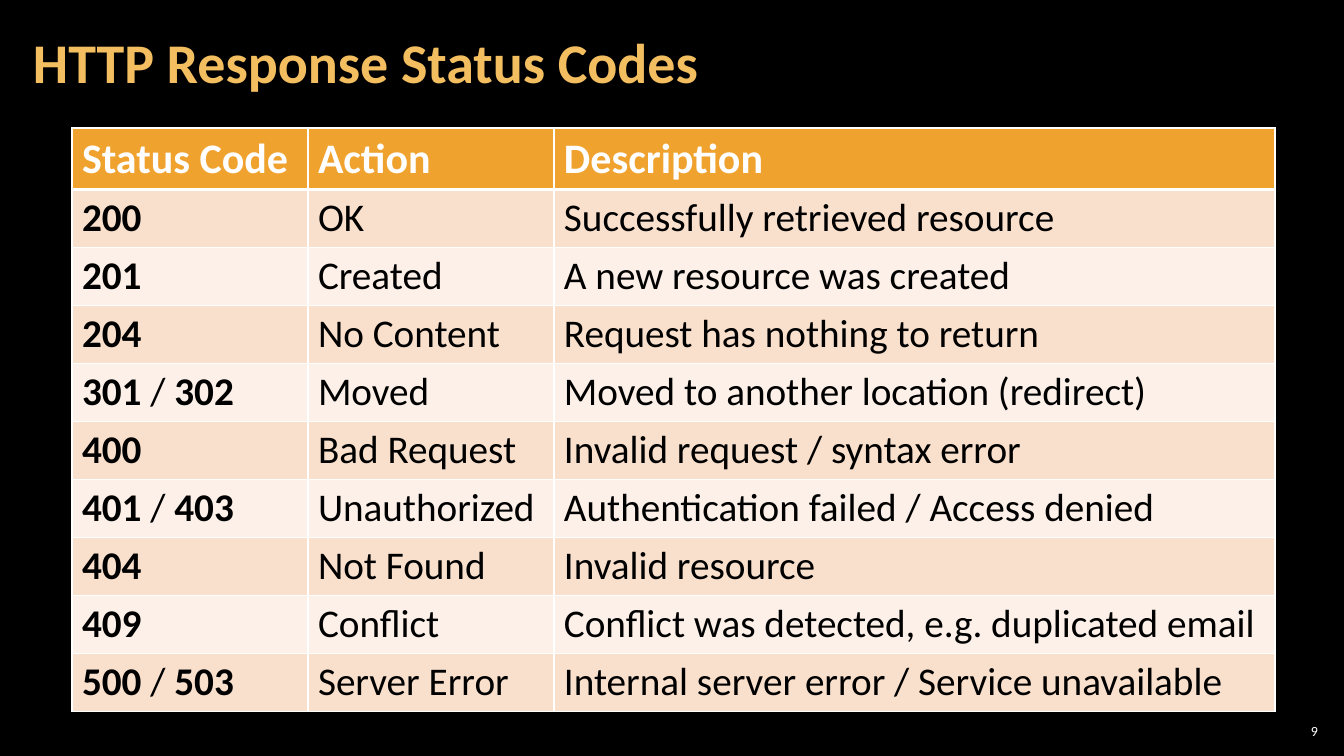
from lxml.etree import SubElement
from pptx import Presentation
from pptx.dml.color import RGBColor
from pptx.enum.text import MSO_ANCHOR as Anchor, MSO_AUTO_SIZE as AutoSize, PP_ALIGN as Align
from pptx.oxml.ns import qn
from pptx.util import Emu, Pt

EMU_PER_PX = 914400 / 100.8
WHITE, BLACK = "FFFFFF", "000000"
HEADER_FILL = "F0A22E"
BAND_FILLS = ["F9E0CD", "FCF0E8"]
COLUMN_WIDTHS = [236, 246, 721]
HEADER_HEIGHT, ROW_HEIGHT = 61, 58
HEADINGS = ["Status Code", "Action", "Description"]
STATUS_ROWS = [
    ("200", "OK", "Successfully retrieved resource"),
    ("201", "Created", "A new resource was created"),
    ("204", "No Content", "Request has nothing to return"),
    ("301 / 302", "Moved", "Moved to another location (redirect)"),
    ("400", "Bad Request", "Invalid request / syntax error"),
    ("401 / 403", "Unauthorized", "Authentication failed / Access denied"),
    ("404", "Not Found", "Invalid resource"),
    ("409", "Conflict", "Conflict was detected, e.g. duplicated email"),
    ("500 / 503", "Server Error", "Internal server error / Service unavailable"),
]


def px(length):
    """Turn pixels into EMU."""
    return Emu(round(length * EMU_PER_PX))


def color(hex_value):
    """Turn a hex string into a colour."""
    return RGBColor.from_string(hex_value)


def style(paragraph, size, hex_value, bold=None):
    """Set the font of a paragraph."""
    font = paragraph.font
    font.name, font.size, font.bold = "Calibri", Pt(size), bold
    font.color.rgb = color(hex_value)


def set_frame(frame, side, edge):
    """Give a text frame its margins, wrapping and middle anchor."""
    frame.word_wrap = True
    frame.auto_size = AutoSize.NONE
    frame.vertical_anchor = Anchor.MIDDLE
    frame.margin_left = frame.margin_right = px(side)
    frame.margin_top = frame.margin_bottom = px(edge)


def add_title(slide, text):
    """Fill and place the title placeholder."""
    title = slide.shapes.title
    title.left, title.top, title.width, title.height = map(px, (21, 4, 1055, 122))
    set_frame(title.text_frame, 12, 4)
    title.text_frame.text = text
    paragraph = title.text_frame.paragraphs[0]
    paragraph.alignment = Align.LEFT
    paragraph.line_spacing = 0.9
    style(paragraph, 40, "F3BE60", True)


def add_page_number(slide, text):
    """Add the page number in the lower right corner."""
    box = slide.shapes.add_textbox(*map(px, (1275, 720, 47, 21)))
    set_frame(box.text_frame, 4, 4)
    paragraph = box.text_frame.paragraphs[0]
    paragraph.text = text
    paragraph.alignment = Align.RIGHT
    style(paragraph, 10, WHITE)


def set_borders(cell, top, bottom):
    """Draw white borders around a cell, widths in points."""
    properties = cell._tc.get_or_add_tcPr()
    for side, width in (("L", 1), ("R", 1), ("T", top), ("B", bottom)):
        line = SubElement(properties, qn(f"a:ln{side}"), w=str(Pt(width)))
        fill = SubElement(line, qn("a:solidFill"))
        SubElement(fill, qn("a:srgbClr"), val=WHITE)


def fill_cell(cell, text, size, text_color, fill_color, bold):
    """Write a cell, keeping the slash between bold codes regular."""
    paragraph = cell.text_frame.paragraphs[0]
    before, slash, after = text.partition("/") if bold else (text, "", "")
    for part in filter(None, (before, slash, after)):
        run = paragraph.add_run()
        run.text = part
        run.font.bold = bold and part != "/"
    style(paragraph, size, text_color)
    cell.fill.solid()
    cell.fill.fore_color.rgb = color(fill_color)


def add_status_table(slide):
    """Add the table of status codes."""
    rows = [HEADINGS, *STATUS_ROWS]
    height = HEADER_HEIGHT + ROW_HEIGHT * len(STATUS_ROWS)
    frame = slide.shapes.add_table(
        len(rows), len(HEADINGS), px(72), px(128), px(sum(COLUMN_WIDTHS)), px(height))
    table = frame.table
    for column, width in zip(table.columns, COLUMN_WIDTHS):
        column.width = px(width)
    for i, texts in enumerate(rows):
        header = i == 0
        table.rows[i].height = px(HEADER_HEIGHT if header else ROW_HEIGHT)
        size, text_color, fill_color = (
            (30, WHITE, HEADER_FILL) if header else (28, BLACK, BAND_FILLS[(i - 1) % 2]))
        for j, text in enumerate(texts):
            cell = table.cell(i, j)
            set_borders(cell, 3 if i == 1 else 1, 3 if header else 1)
            fill_cell(cell, text, size, text_color, fill_color, header or j == 0)


def main():
    """Build the slide and save it."""
    presentation = Presentation()
    presentation.slide_width, presentation.slide_height = px(1344), px(756)
    slide = presentation.slides.add_slide(presentation.slide_layouts[5])
    slide.background.fill.solid()
    slide.background.fill.fore_color.rgb = color(BLACK)
    add_page_number(slide, "9")
    add_title(slide, "HTTP Response Status Codes")
    add_status_table(slide)
    presentation.save("out.pptx")


if __name__ == "__main__":
    main()
